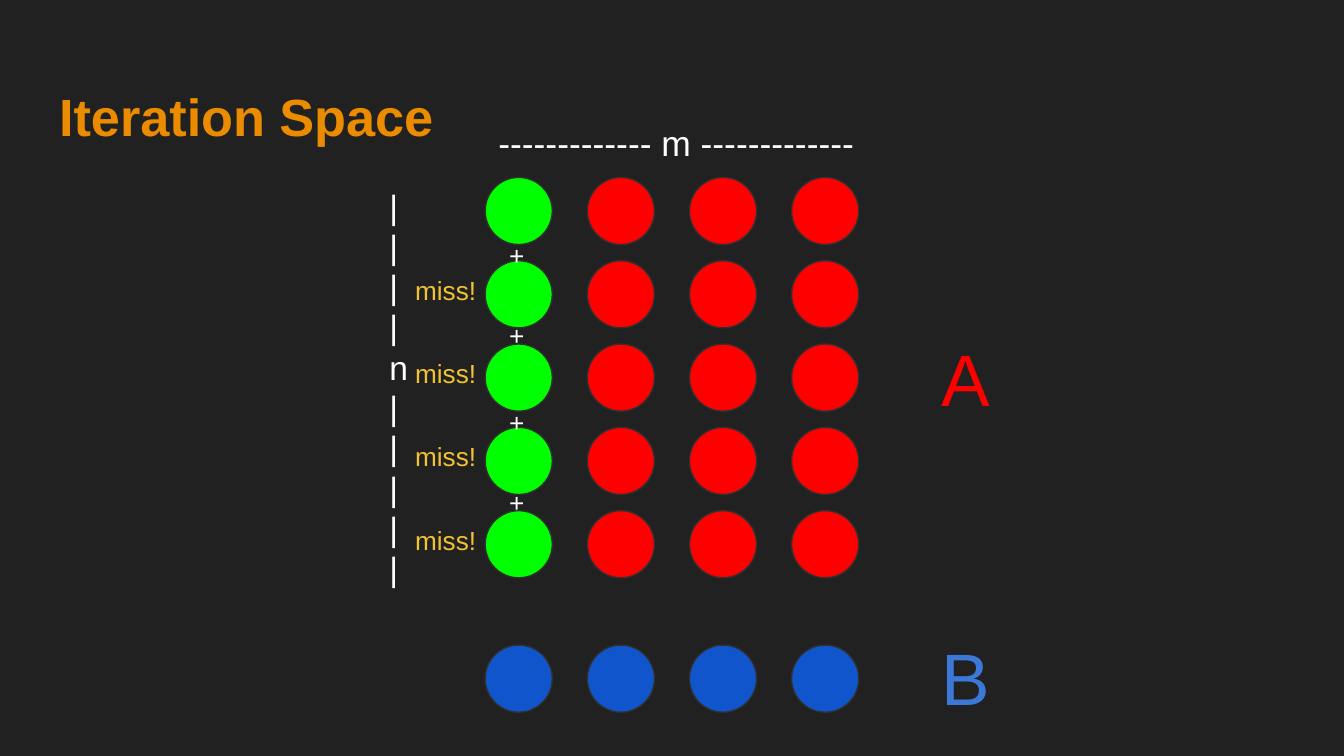
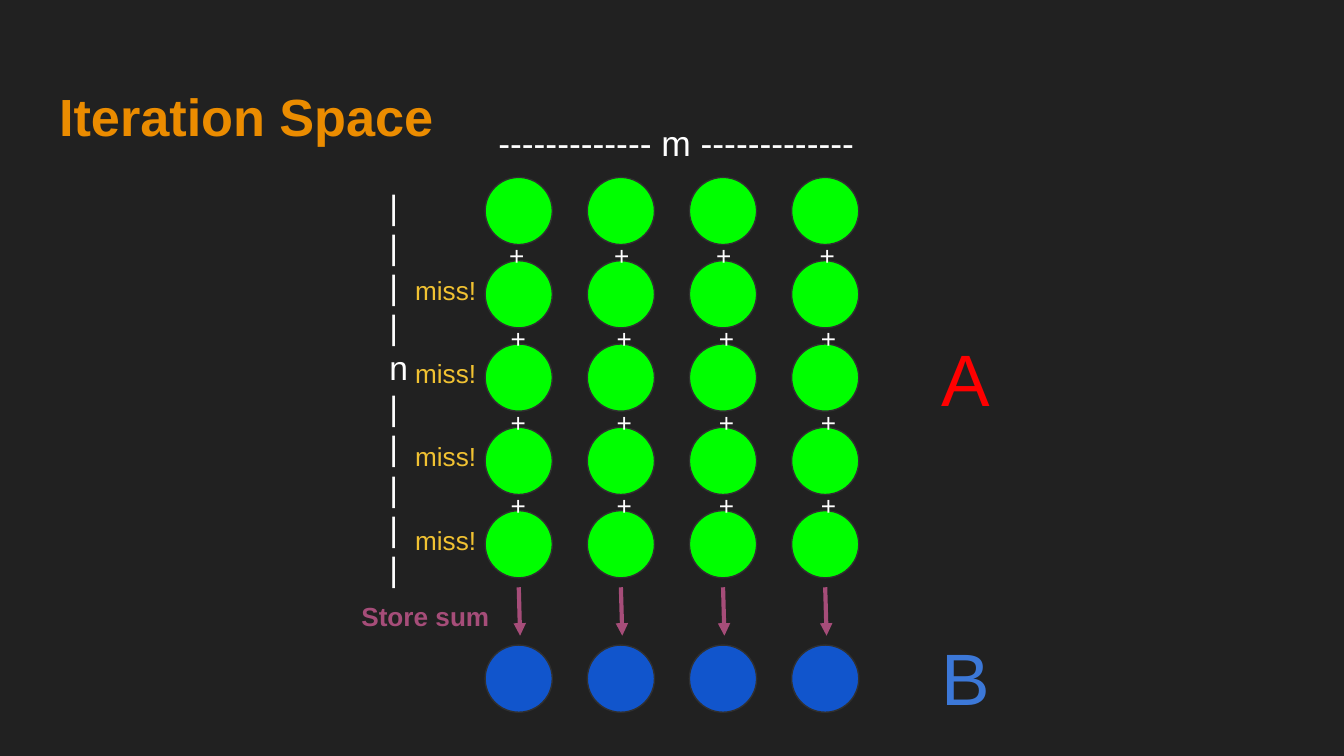
from lxml.etree import SubElement
from pptx import Presentation
from pptx.dml.color import RGBColor
from pptx.enum.shapes import MSO_CONNECTOR, MSO_SHAPE
from pptx.enum.text import MSO_ANCHOR, MSO_AUTO_SIZE, PP_ALIGN
from pptx.oxml.ns import qn
from pptx.util import Emu, Pt

EMU_PER_PX = 9144
PAGE_WIDTH = 1000
FONT = "Arial"
BACKGROUND = "212121"
TITLE = "EB8C00"
WHITE = "FFFFFF"
VISITED = "00FF00"
UNVISITED = "FF0000"
RESULT = "1155CC"
RESULT_LABEL = "3C78D8"
OUTLINE = "303030"
MISS = "F1C232"
STORE = "A64D79"

COLUMNS, ROWS = 4, 5
DOT, COLUMN_STEP, ROW_STEP = 50, 76, 62
MATRIX = (361, 132)
RESULT_ROW = (361, 480)


def px(length):
    return Emu(length * EMU_PER_PX)


def color(value):
    return RGBColor.from_string(value)


def style_frame(frame, size, value, bold=False, spacing=None):
    frame.word_wrap = True
    frame.auto_size = MSO_AUTO_SIZE.NONE
    frame.vertical_anchor = MSO_ANCHOR.TOP
    frame.margin_left = frame.margin_right = px(10)
    frame.margin_top = frame.margin_bottom = px(10)
    for para in frame.paragraphs:
        para.alignment = PP_ALIGN.LEFT
        para.line_spacing = spacing
        for span in para.runs:
            span.font.name = FONT
            span.font.size = Pt(size)
            span.font.bold = bold
            span.font.color.rgb = color(value)


def add_label(page, text, left, top, width, height, size, value, **style):
    box = page.shapes.add_textbox(px(left), px(top), px(width), px(height))
    box.text_frame.text = text
    style_frame(box.text_frame, size, value, **style)


def add_dot(page, left, top, value):
    dot = page.shapes.add_shape(MSO_SHAPE.OVAL, px(left), px(top), px(DOT), px(DOT))
    dot.shadow.inherit = False
    dot.fill.solid()
    dot.fill.fore_color.rgb = color(value)
    dot.line.color.rgb = color(OUTLINE)
    dot.line.width = Pt(0.75)


def add_arrow(page, start, end):
    arrow = page.shapes.add_connector(MSO_CONNECTOR.STRAIGHT, *map(px, start + end))
    arrow.line.color.rgb = color(STORE)
    arrow.line.width = Pt(2.25)
    SubElement(arrow.line._get_or_add_ln(), qn("a:tailEnd"), type="triangle")
    SubElement(arrow._element.spPr, qn("a:effectLst"))


def draw_title(page, text):
    title = page.shapes.title
    title.left, title.top, title.width, title.height = map(px, (34, 49, 932, 63))
    title.text_frame.text = text
    style_frame(title.text_frame, 28, TITLE, bold=True, spacing=1.08)


def draw_matrix(page, left, top, visited_columns):
    for column in range(COLUMNS):
        value = VISITED if column < visited_columns else UNVISITED
        for row in range(ROWS):
            add_dot(page, left + column * COLUMN_STEP, top + row * ROW_STEP, value)
    add_label(page, "------------- m -------------", left, top - 52, 315, 49, 19, WHITE)
    add_label(page, "\n".join("||||n|||||"), left - 81, top - 4, 50, 306, 18, WHITE,
              spacing=Pt(21.6))
    add_label(page, "A", left + 330, top + 106, 59, 87, 39, UNVISITED)
    for row in range(1, ROWS):
        add_label(page, "miss!", left - 62, top + row * ROW_STEP, 69, 49, 14, MISS)


def draw_pluses(page, left, top, plus_rows):
    for drop, shifts in plus_rows:
        for column, shift in enumerate(shifts):
            add_label(page, "+", left + column * COLUMN_STEP + shift, top + drop,
                      29, 49, 14, WHITE)


def draw_result(page, left, top):
    for column in range(COLUMNS):
        add_dot(page, left + column * COLUMN_STEP, top, RESULT)
    add_label(page, "B", left + 330, top - 19, 59, 87, 39, RESULT_LABEL)


def draw_store(page, left, top):
    for column in range(COLUMNS):
        center = left + column * COLUMN_STEP + DOT // 2
        add_arrow(page, (center, top - 43), (center + 1, top - 7))
    add_label(page, "Store sum", left - 102, top - 43, 122, 49, 14, STORE, bold=True)


def build_page(deck, visited_columns, plus_rows, stores_sum):
    page = deck.slides.add_slide(deck.slide_layouts[5])
    draw_title(page, "Iteration Space")
    draw_matrix(page, *MATRIX, visited_columns)
    draw_pluses(page, *MATRIX, plus_rows)
    draw_result(page, *RESULT_ROW)
    if stores_sum:
        draw_store(page, *RESULT_ROW)


def main():
    deck = Presentation()
    deck.slide_width = px(PAGE_WIDTH)
    deck.slide_height = px(PAGE_WIDTH) * 9 // 16
    backdrop = deck.slide_master.background.fill
    backdrop.solid()
    backdrop.fore_color.rgb = color(BACKGROUND)

    first_column = [(drop, (8,)) for drop in (36, 96, 160, 220)]
    all_columns = [(36, (8, 10, 10, 11))]
    all_columns += [(36 + row * ROW_STEP, (9, 12, 12, 12)) for row in range(1, ROWS - 1)]
    build_page(deck, 1, first_column, False)
    build_page(deck, COLUMNS, all_columns, True)
    deck.save("out.pptx")


if __name__ == "__main__":
    main()
